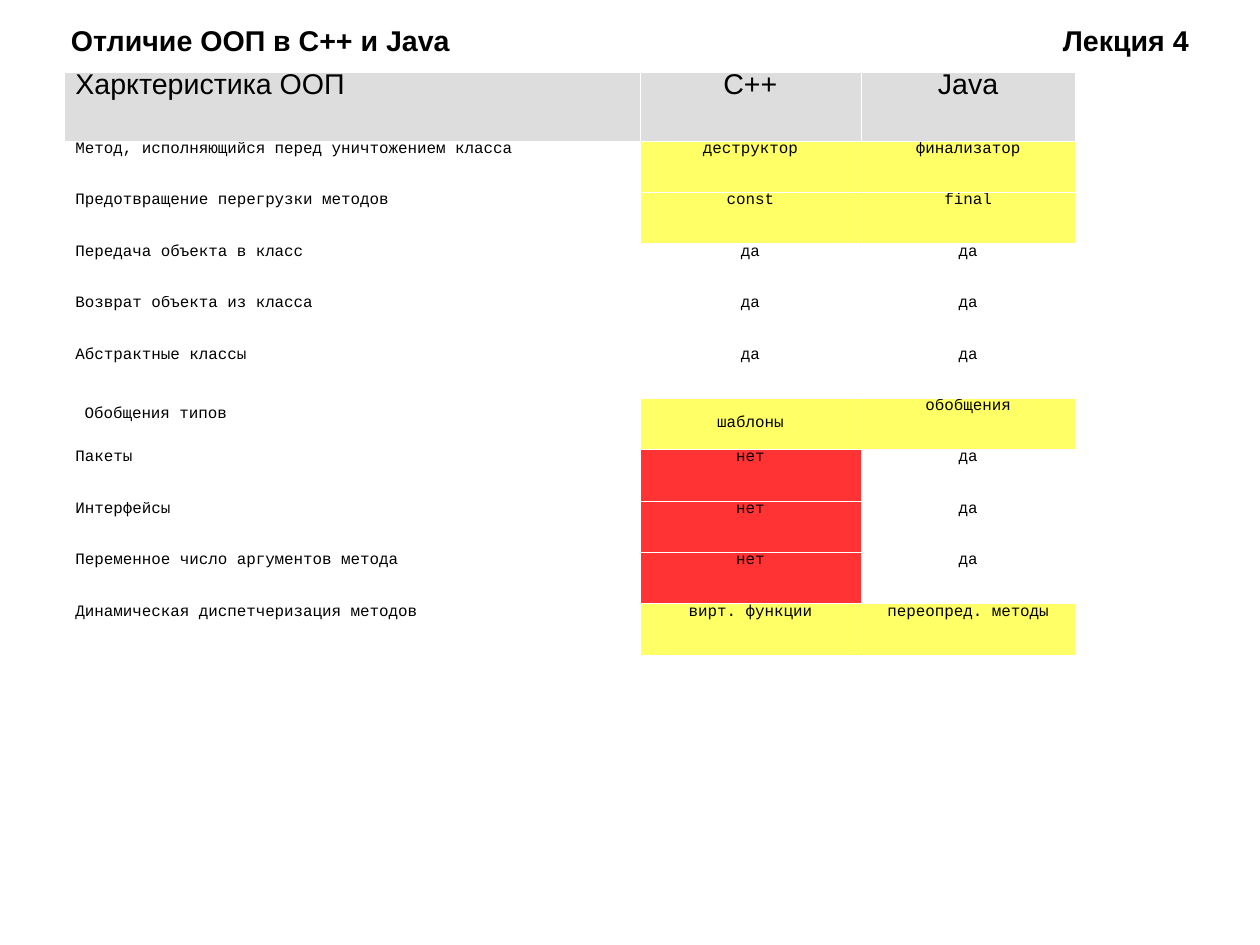
from lxml import etree
from pptx import Presentation
from pptx.dml.color import RGBColor
from pptx.enum.text import MSO_ANCHOR, MSO_AUTO_SIZE, PP_ALIGN
from pptx.oxml.ns import qn
from pptx.util import Cm, Inches, Pt

LEFT, CENTER = PP_ALIGN.LEFT, PP_ALIGN.CENTER
MIDDLE = MSO_ANCHOR.MIDDLE
NO_AUTOFIT = MSO_AUTO_SIZE.NONE

BLACK = RGBColor(0x00, 0x00, 0x00)
WHITE = RGBColor(0xFF, 0xFF, 0xFF)
GREY = RGBColor(0xDD, 0xDD, 0xDD)
YELLOW = RGBColor(0xFF, 0xFF, 0x66)
RED = RGBColor(0xFF, 0x33, 0x33)

TITLE_ONLY = 5
BORDER = Pt(0.06)
COLUMNS = (5.04, 1.93, 1.88)
HEADER_HEIGHT, ROW_HEIGHT = 0.6, 0.45
GENERICS = "Обобщения типов"

# Each row: three texts, then the fills of the two language columns
HEADER = ("Харктеристика ООП", "С++", "Java")
FEATURES = [
    ("Метод, исполняющийся перед уничтожением класса",
     "деструктор", "финализатор", YELLOW, YELLOW),
    ("Предотвращение перегрузки методов", "const", "final", YELLOW, YELLOW),
    ("Передача объекта в класс", "да", "да", None, None),
    ("Возврат объекта из класса", "да", "да", None, None),
    ("Абстрактные классы", "да", "да", None, None),
    (GENERICS, "шаблоны", "обобщения", YELLOW, YELLOW),
    ("Пакеты", "нет", "да", RED, None),
    ("Интерфейсы", "нет", "да", RED, None),
    ("Переменное число аргументов метода", "нет", "да", RED, None),
    ("Динамическая диспетчеризация методов",
     "вирт. функции", "переопред. методы", YELLOW, YELLOW),
]


def style_paragraph(p, font, size, align, spacing, bold=False):
    p.alignment = align
    p.line_spacing = spacing
    for r in p.runs:
        r.font.name = font
        r.font.size = Pt(size)
        r.font.bold = bold
        r.font.color.rgb = BLACK


def add_title(s, left, top, width, height):
    sp = s.shapes.title
    sp.left, sp.top = Inches(left), Inches(top)
    sp.width, sp.height = Inches(width), Inches(height)
    tf = sp.text_frame
    tf.auto_size = NO_AUTOFIT
    tf.word_wrap = True
    tf.vertical_anchor = MIDDLE
    tf.margin_left, tf.margin_right = Inches(0.07), 0
    tf.margin_top, tf.margin_bottom = Inches(0.02), 0
    tf.text = "Отличие ООП в C++ и Java\tЛекция 4"
    p = tf.paragraphs[0]
    style_paragraph(p, "Arial", 18, LEFT, 0.93, bold=True)
    # Right tab stop holds the lecture number at the far edge
    tabs = etree.SubElement(p._p.get_or_add_pPr(), qn("a:tabLst"))
    etree.SubElement(tabs, qn("a:tab"), pos=str(Inches(width - 0.14)), algn="r")


def set_borders(cell):
    tcPr = cell._tc.get_or_add_tcPr()
    for side in ("a:lnL", "a:lnR", "a:lnT", "a:lnB"):
        ln = etree.SubElement(tcPr, qn(side), w=str(BORDER))
        fill = etree.SubElement(ln, qn("a:solidFill"))
        etree.SubElement(fill, qn("a:srgbClr"), val=str(WHITE))


def fill_cell(cell, text, align, color, font, size, spacing):
    cell.margin_left = cell.margin_right = Inches(0.1)
    cell.margin_top = cell.margin_bottom = Inches(0.05)
    cell.text_frame.text = text
    style_paragraph(cell.text_frame.paragraphs[0], font, size, align, spacing)
    set_borders(cell)
    if color is None:
        cell.fill.background()
    else:
        cell.fill.solid()
        cell.fill.fore_color.rgb = color


def add_comparison(s, left, top):
    rows = [(*HEADER, GREY, GREY)] + FEATURES
    height = HEADER_HEIGHT + ROW_HEIGHT * len(FEATURES)
    table = s.shapes.add_table(len(rows), len(COLUMNS), Inches(left), Inches(top),
                               Inches(sum(COLUMNS)), Inches(height)).table
    table.first_row = False
    table.horz_banding = False
    for column, width in zip(table.columns, COLUMNS):
        column.width = Inches(width)

    for i, (feature, cpp, java, cpp_color, java_color) in enumerate(rows):
        is_header = i == 0
        table.rows[i].height = Inches(HEADER_HEIGHT if is_header else ROW_HEIGHT)
        look = ("Arial", 18, 0.66) if is_header else ("Courier New", 10, 0.49)
        fill_cell(table.cell(i, 0), feature, LEFT, GREY if is_header else None, *look)
        fill_cell(table.cell(i, 1), cpp, CENTER, cpp_color, *look)
        fill_cell(table.cell(i, 2), java, CENTER, java_color, *look)

        # The generics row sits lower in its first two cells
        if feature == GENERICS:
            table.cell(i, 0).margin_left = Inches(0.18)
            table.cell(i, 0).margin_top = Inches(0.12)
            table.cell(i, 1).margin_top = Inches(0.2)


def main():
    prs = Presentation()
    prs.slide_width, prs.slide_height = Cm(28), Cm(21)
    s = prs.slides.add_slide(prs.slide_layouts[TITLE_ONLY])
    add_title(s, 0.55, 0.13, 9.92, 0.46)
    add_comparison(s, 0.56, 0.63)
    prs.save("out.pptx")


if __name__ == "__main__":
    main()
